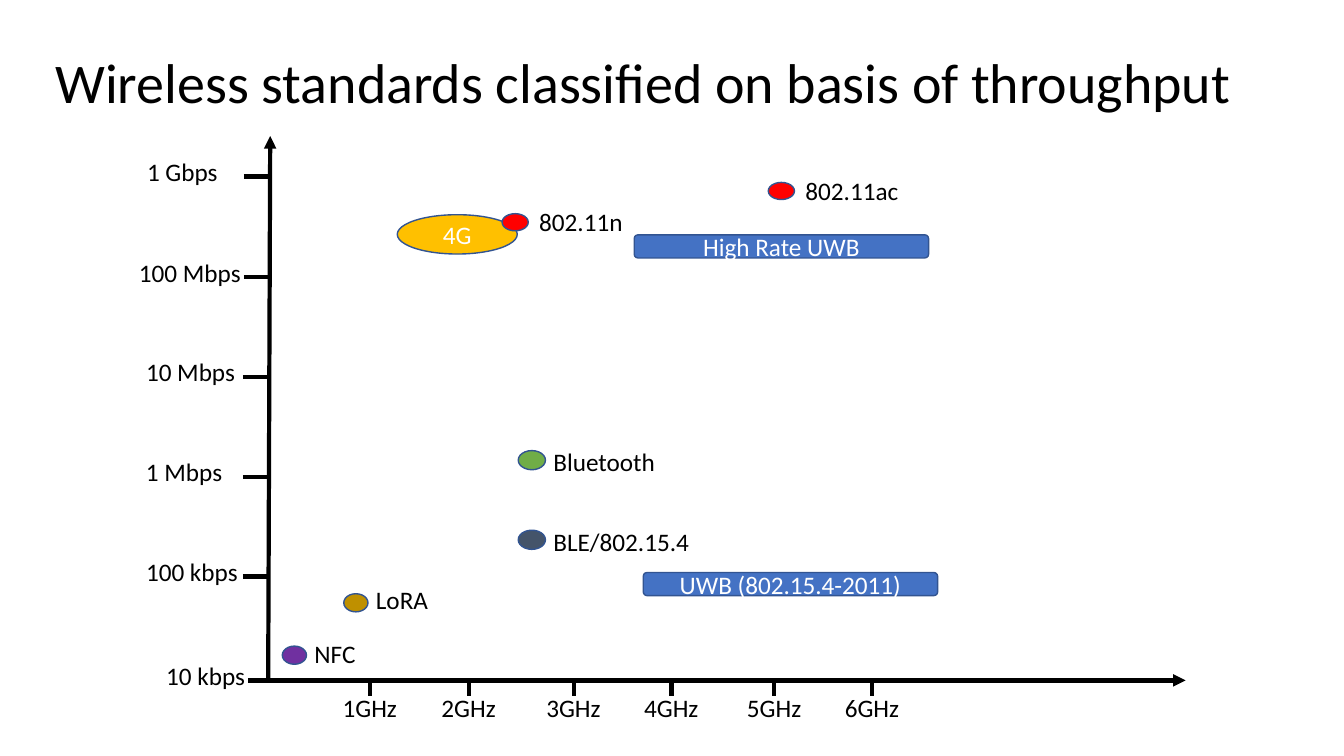
from dataclasses import dataclass

from lxml import etree
from pptx import Presentation
from pptx import util as u
from pptx.dml.color import RGBColor
from pptx.enum import shapes, text
from pptx.oxml import ns

PX = 9144


@dataclass(frozen=True)
class Theme:
    font: str = "Calibri"
    title: int = 40
    body: int = 18
    axis: int = 3
    edge: int = 1
    ink: str = "000000"
    pale: str = "FFFFFF"
    rim: str = "325491"
    bar: str = "4472C4"
    gold: str = "FFC000"
    red: str = "FF0000"
    green: str = "70AD47"
    slate: str = "44546A"
    ochre: str = "BF9000"
    plum: str = "7030A0"


T = Theme()
OVAL = shapes.MSO_SHAPE.OVAL
ROUND = shapes.MSO_SHAPE.ROUNDED_RECTANGLE


def px(*vals):
    return [u.Emu(v * PX) for v in vals]


def rgb(code):
    return RGBColor.from_string(code)


def write(frame, words, size=T.body, color=T.ink, align=text.PP_ALIGN.LEFT,
          anchor=text.MSO_ANCHOR.TOP, wrap=True, space=1.0):
    frame.word_wrap = wrap
    frame.vertical_anchor = anchor
    if not wrap:
        frame.auto_size = text.MSO_AUTO_SIZE.SHAPE_TO_FIT_TEXT
    para = frame.paragraphs[0]
    para.alignment = align
    para.line_spacing = space
    run = para.add_run()
    run.text = words
    run.font.name = T.font
    run.font.size = u.Pt(size)
    run.font.color.rgb = rgb(color)


def label(slide, words, x, y, w):
    box = slide.shapes.add_textbox(*px(x, y, w, 40))
    write(box.text_frame, words, wrap=False)


def line(slide, x1, y1, x2, y2, arrow=False):
    link = slide.shapes.add_connector(
        shapes.MSO_CONNECTOR.STRAIGHT, *px(x1, y1, x2, y2))
    link.line.color.rgb = rgb(T.ink)
    link.line.width = u.Pt(T.axis)
    if arrow:
        edge = link._element.spPr.find(ns.qn("a:ln"))
        etree.SubElement(edge, ns.qn("a:tailEnd"), type="triangle")
    etree.SubElement(link._element.spPr, ns.qn("a:effectLst"))


def blob(slide, kind, fill, x, y, w, h, words=None):
    item = slide.shapes.add_shape(kind, *px(x, y, w, h))
    item.shadow.inherit = False
    item.fill.solid()
    item.fill.fore_color.rgb = rgb(fill)
    item.line.color.rgb = rgb(T.rim)
    item.line.width = u.Pt(T.edge)
    if words:
        write(item.text_frame, words, color=T.pale,
              align=text.PP_ALIGN.CENTER, anchor=text.MSO_ANCHOR.MIDDLE)


def heading(slide, box, words):
    item = slide.shapes.add_textbox(*px(*box))
    write(item.text_frame, words, size=T.title,
          anchor=text.MSO_ANCHOR.MIDDLE, space=0.9)


def axes(slide, box):
    x, y, w, h = box
    line(slide, x, y + h, x + 2, y, arrow=True)
    line(slide, x, y + h, x + w, y + h, arrow=True)


def rates(slide, box):
    x, y, _, h = box
    for words, rise, left, w, tick in (
            ("10 kbps", 0, 111, 99, 20),
            ("100 kbps", 103, 131, 112, 25),
            ("1 Mbps", 202, 131, 97, 25),
            ("10 Mbps", 301, 131, 109, 25),
            ("100 Mbps", 400, 138, 122, 24),
            ("1 Gbps", 500, 130, 91, 24)):
        level = y + h - rise
        label(slide, words, x - left, level - 25, w)
        line(slide, x - tick, level, x - tick + 24, level)


def bands(slide, box):
    x, y, _, h = box
    base = y + h
    for num, step in enumerate((101, 199, 303, 400, 502, 599), 1):
        line(slide, x + step, base, x + step, base + 15)
        label(slide, f"{num}GHz", x + step - 37, base + 7, 75)


def ranges(slide, box):
    x, y, _, _ = box
    for words, kind, fill, dx, dy, w, h in (
            ("UWB (802.15.4-2011)", ROUND, T.bar, 372, 433, 292, 23),
            ("High Rate UWB", ROUND, T.bar, 363, 98, 292, 23),
            ("4G", OVAL, T.gold, 128, 78, 119, 39)):
        blob(slide, kind, fill, x + dx, y + dy, w, h, words)


def spots(slide, box):
    x, y, _, _ = box
    for words, fill, dx, dy, w, h, gap, lift, wide in (
            ("802.11n", T.red, 232, 77, 26, 17, 1, 12, 104),
            ("802.11ac", T.red, 496, 46, 26, 17, 1, 12, 113),
            ("Bluetooth", T.green, 248, 312, 27, 19, -2, 9, 122),
            ("BLE/802.15.4", T.slate, 248, 391, 27, 19, -2, 9, 156),
            ("LoRA", T.ochre, 75, 454, 24, 18, -2, 14, 72),
            ("NFC", T.plum, 14, 506, 24, 18, -2, 13, 61)):
        blob(slide, OVAL, fill, x + dx, y + dy, w, h)
        label(slide, words, x + dx + w + gap, y + dy - lift, wide)


def main():
    deck = Presentation()
    deck.slide_width, deck.slide_height = px(1333, 750)
    slide = deck.slides.add_slide(deck.slide_layouts[6])
    plot = (266, 135, 910, 540)
    for draw in (axes, rates, bands, ranges, spots):
        draw(slide, plot)
    heading(slide, (45, 43, 1242, 84),
            "Wireless standards classified on basis of throughput")
    deck.save("out.pptx")


if __name__ == "__main__":
    main()
